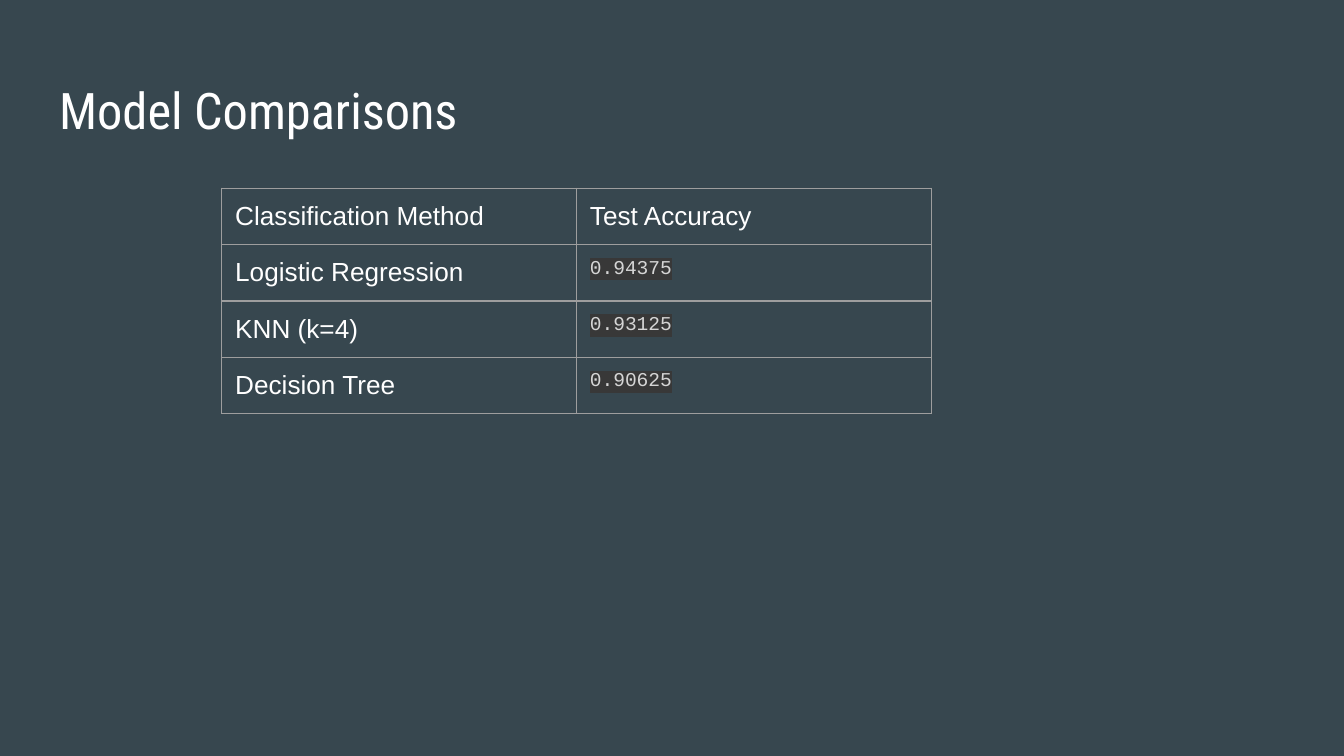
"""Build the model comparison slide with its accuracy table."""

from dataclasses import dataclass
from typing import Any

from lxml.etree import Element, SubElement
from pptx import Presentation
from pptx.dml.color import RGBColor
from pptx.enum.text import MSO_ANCHOR, PP_ALIGN
from pptx.oxml.ns import qn
from pptx.util import Inches, Pt


@dataclass(frozen=True)
class TextStyle:
    font: str
    size: float
    color: str
    highlight: str | None = None


@dataclass(frozen=True)
class Theme:
    background: str = "37474F"
    border: str = "9E9E9E"
    border_width: float = 0.75
    title: TextStyle = TextStyle("Roboto Condensed", 27, "FFFFFF")
    label: TextStyle = TextStyle("Arial", 14, "FFFFFF")
    score: TextStyle = TextStyle("Courier New", 10.5, "D5D5D5", "383838")


@dataclass(frozen=True)
class ModelResult:
    method: str
    accuracy: str


THEME = Theme()
HEADINGS = ("Classification Method", "Test Accuracy")
RESULTS = (
    ModelResult("Logistic Regression", "0.94375"),
    ModelResult("KNN (k=4)", "0.93125"),
    ModelResult("Decision Tree", "0.90625"),
)
MARGINS = {
    f"margin_{side}": Inches(0.1) for side in ("left", "top", "right", "bottom")
}
SLIDE_WIDTH = 10
SLIDE_HEIGHT = SLIDE_WIDTH * 9 / 16
COLUMN_WIDTH = 2.64
ROW_HEIGHT = 0.42


def apply_format(target: Any, values: dict[str, Any]) -> None:
    """Set each named attribute on the target."""
    for name, value in values.items():
        setattr(target, name, value)


def write_text(frame: Any, text: str, style: TextStyle) -> None:
    """Write one styled run into a text frame."""
    paragraph = frame.paragraphs[0]
    paragraph.alignment = PP_ALIGN.LEFT
    run = paragraph.add_run()
    run.text = text
    run.font.color.rgb = RGBColor.from_string(style.color)
    apply_format(
        run.font, {"name": style.font, "size": Pt(style.size), "bold": False}
    )
    if style.highlight:
        highlight = Element(qn("a:highlight"))
        SubElement(highlight, qn("a:srgbClr"), val=style.highlight)
        run.font._element.find(qn("a:latin")).addprevious(highlight)


def draw_borders(cell: Any) -> None:
    """Outline all four sides of a cell."""
    properties = cell._tc.get_or_add_tcPr()
    for position, side in enumerate(("lnL", "lnR", "lnT", "lnB")):
        line = Element(qn(f"a:{side}"), w=str(Pt(THEME.border_width)))
        fill = SubElement(line, qn("a:solidFill"))
        SubElement(fill, qn("a:srgbClr"), val=THEME.border)
        properties.insert(position, line)


def fill_cell(cell: Any, text: str, style: TextStyle) -> None:
    """Write and outline one transparent cell."""
    apply_format(cell, {**MARGINS, "vertical_anchor": MSO_ANCHOR.TOP})
    cell.fill.background()
    write_text(cell.text_frame, text, style)
    draw_borders(cell)


def draw_title(slide: Any, text: str) -> None:
    """Place and format the title placeholder."""
    title = slide.shapes.title
    apply_format(
        title,
        {
            "left": Inches(0.34),
            "top": Inches(0.49),
            "width": Inches(9.32),
            "height": Inches(0.63),
        },
    )
    apply_format(
        title.text_frame,
        {**MARGINS, "word_wrap": True, "vertical_anchor": MSO_ANCHOR.TOP},
    )
    write_text(title.text_frame, text, THEME.title)


def draw_results(slide: Any) -> None:
    """Draw the accuracy table."""
    row_count = len(RESULTS) + 1
    table = slide.shapes.add_table(
        row_count,
        len(HEADINGS),
        Inches(1.65),
        Inches(1.4),
        Inches(COLUMN_WIDTH * len(HEADINGS)),
        Inches(ROW_HEIGHT * row_count),
    ).table
    apply_format(table, {"first_row": False, "horz_banding": False})
    for column, heading in enumerate(HEADINGS):
        table.columns[column].width = Inches(COLUMN_WIDTH)
        fill_cell(table.cell(0, column), heading, THEME.label)
    for row in table.rows:
        row.height = Inches(ROW_HEIGHT)
    for row_index, result in enumerate(RESULTS, start=1):
        fill_cell(table.cell(row_index, 0), result.method, THEME.label)
        fill_cell(table.cell(row_index, 1), result.accuracy, THEME.score)


def main() -> None:
    """Build and save the presentation."""
    presentation = Presentation()
    apply_format(
        presentation,
        {
            "slide_width": Inches(SLIDE_WIDTH),
            "slide_height": Inches(SLIDE_HEIGHT),
        },
    )
    slide = presentation.slides.add_slide(presentation.slide_layouts[5])
    background = slide.background.fill
    background.solid()
    background.fore_color.rgb = RGBColor.from_string(THEME.background)
    draw_title(slide, "Model Comparisons")
    draw_results(slide)
    presentation.save("out.pptx")


if __name__ == "__main__":
    main()
